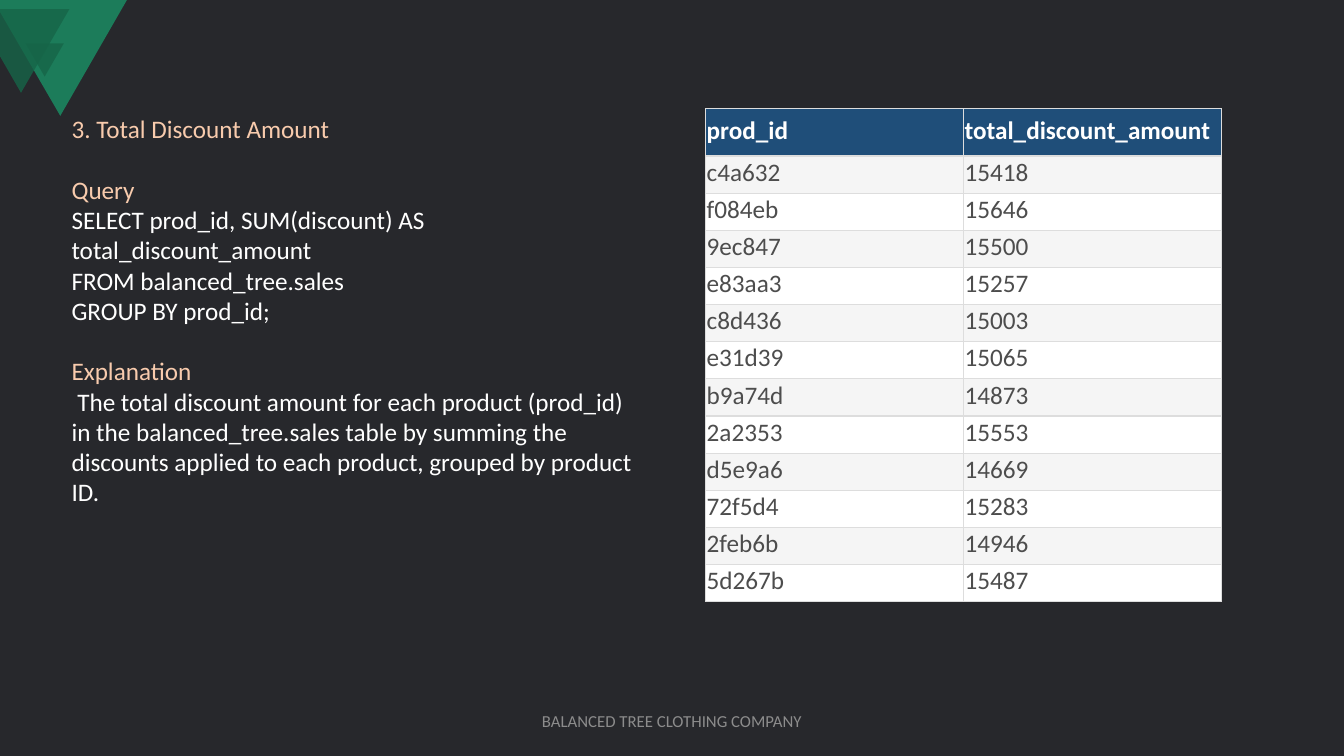
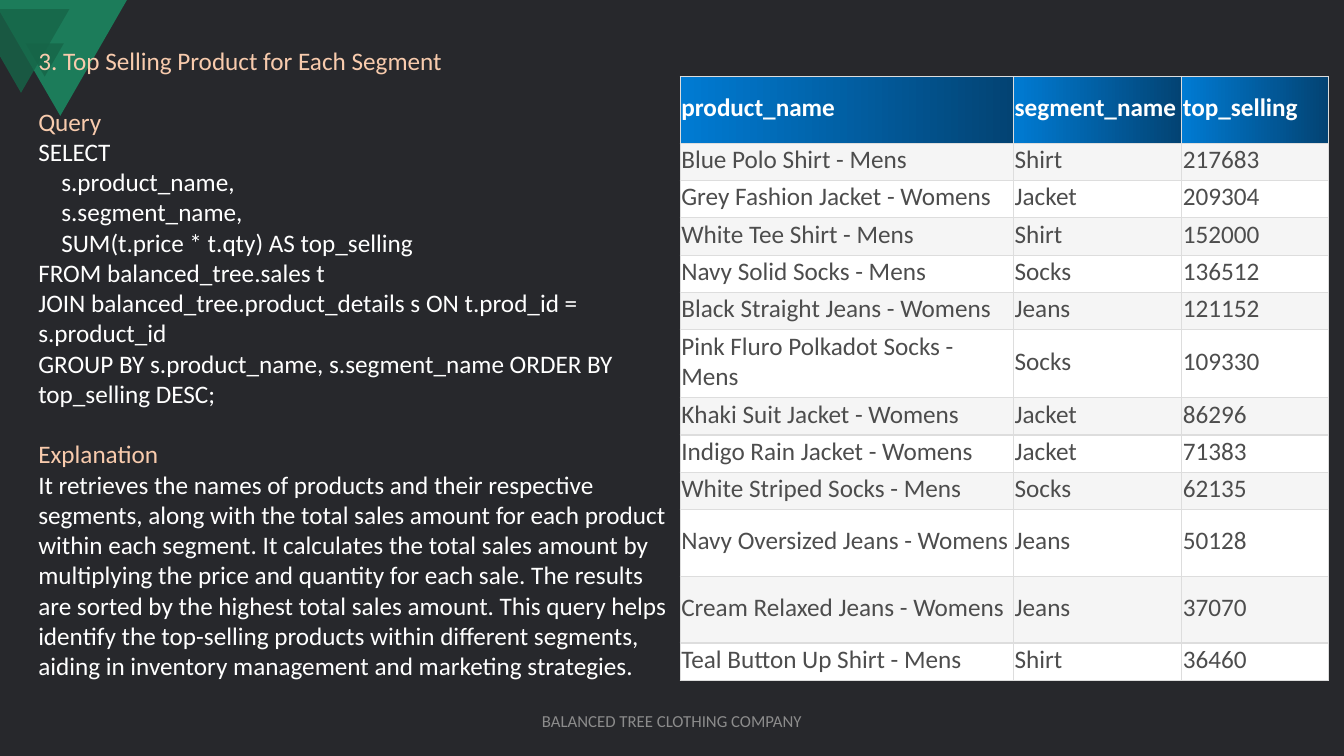
from copy import deepcopy

from lxml.etree import SubElement
from pptx import Presentation
from pptx.dml.color import RGBColor
from pptx.enum.shapes import MSO_SHAPE
from pptx.enum.text import MSO_ANCHOR, MSO_AUTO_SIZE, PP_ALIGN
from pptx.oxml import parse_xml
from pptx.oxml.ns import nsdecls, qn
from pptx.util import Cm, Pt

COLORS = {
    "background": "27282C",
    "green": "1C7C5A",
    "dark_green": "166548",
    "heading": "F8CBAD",
    "white": "FFFFFF",
    "footer": "8C8C8C",
    "cell_text": "4D4D4D",
    "band": "F5F5F5",
    "border": "DDDDDD",
    "navy": "1F4E79",
    "blue_start": "007BD3",
    "blue_end": "034373",
}
FONT = "Calibri"
LINE = Pt(21.6)
FOOTER_IDX = 11

# Lengths are in centimetres; a query line is (indent, text)
slides = [
    {
        "title": "3. Total Discount Amount",
        "text_box": (1.55, 2.74, 14.91, 10.26),
        "query": [
            (0, "SELECT prod_id, SUM(discount) AS total_discount_amount"),
            (0, "FROM balanced_tree.sales"),
            (0, "GROUP BY prod_id;"),
        ],
        "explanation": " The total discount amount for each product (prod_id) in the "
        "balanced_tree.sales table by summing the discounts applied to each "
        "product, grouped by product ID.",
        "table_at": (17.78, 2.74),
        "col_widths": (6.5, 6.5),
        "row_height": 0.93,
        "tall_rows": {0: 1.19},
        "header_fill": ("navy",),
        "rows": [
            ("prod_id", "total_discount_amount"),
            ("c4a632", "15418"),
            ("f084eb", "15646"),
            ("9ec847", "15500"),
            ("e83aa3", "15257"),
            ("c8d436", "15003"),
            ("e31d39", "15065"),
            ("b9a74d", "14873"),
            ("2a2353", "15553"),
            ("d5e9a6", "14669"),
            ("72f5d4", "15283"),
            ("2feb6b", "14946"),
            ("5d267b", "15487"),
        ],
    },
    {
        "title": "3. Top Selling Product for Each Segment",
        "text_box": (0.71, 1.02, 16.43, 16.41),
        "query": [
            (0, "SELECT"),
            (0.58, "s.product_name,"),
            (0.58, "s.segment_name,"),
            (0.58, "SUM(t.price * t.qty) AS top_selling"),
            (0, "FROM balanced_tree.sales t"),
            (0, "JOIN balanced_tree.product_details s ON t.prod_id = s.product_id"),
            (0, "GROUP BY s.product_name, s.segment_name ORDER BY top_selling DESC;"),
        ],
        "explanation": "It retrieves the names of products and their respective segments, "
        "along with the total sales amount for each product within each segment. "
        "It calculates the total sales amount by multiplying the price and quantity "
        "for each sale. The results are sorted by the highest total sales amount. "
        "This query helps identify the top-selling products within different "
        "segments, aiding in inventory management and marketing strategies.",
        "table_at": (17.14, 1.93),
        "col_widths": (8.4, 4.24, 3.7),
        "row_height": 0.94,
        "tall_rows": {0: 1.68, 6: 1.68, 10: 1.68, 11: 1.68},
        "header_fill": ("blue_start", "blue_end"),
        "rows": [
            ("product_name", "segment_name", "top_selling"),
            ("Blue Polo Shirt - Mens", "Shirt", "217683"),
            ("Grey Fashion Jacket - Womens", "Jacket", "209304"),
            ("White Tee Shirt - Mens", "Shirt", "152000"),
            ("Navy Solid Socks - Mens", "Socks", "136512"),
            ("Black Straight Jeans - Womens", "Jeans", "121152"),
            ("Pink Fluro Polkadot Socks - Mens", "Socks", "109330"),
            ("Khaki Suit Jacket - Womens", "Jacket", "86296"),
            ("Indigo Rain Jacket - Womens", "Jacket", "71383"),
            ("White Striped Socks - Mens", "Socks", "62135"),
            ("Navy Oversized Jeans - Womens", "Jeans", "50128"),
            ("Cream Relaxed Jeans - Womens", "Jeans", "37070"),
            ("Teal Button Up Shirt - Mens", "Shirt", "36460"),
        ],
    },
]


def rgb(name):
    return RGBColor.from_string(COLORS[name])


def write(p, text, color, size=18, bold=False):
    """Add a run in the deck's font to the paragraph."""
    r = p.add_run()
    r.text = text
    r.font.color.rgb = rgb(color)
    for key, value in {"name": FONT, "size": Pt(size), "bold": bold}.items():
        setattr(r.font, key, value)


prs = Presentation()
prs.slide_width, prs.slide_height = Cm(33.87), Cm(19.05)
master, layout = prs.slide_master, prs.slide_layouts[1]
master.background.fill.solid()
master.background.fill.fore_color.rgb = rgb("background")
layout_footer = next(p for p in layout.placeholders if p.placeholder_format.idx == FOOTER_IDX)

for spec_no, content in enumerate(slides):
    s = prs.slides.add_slide(layout)
    left, top, width, height = (Cm(v) for v in content["text_box"])

    # Title and body share a column, one blank line apart
    title, body = s.shapes.title, s.placeholders[1]
    for sp, y, h in ((title, top, Cm(1.02)), (body, top + 2 * LINE, height - 2 * LINE)):
        sp.left, sp.top, sp.width, sp.height = left, y, width, h
        tf = sp.text_frame
        tf.word_wrap = True
        tf.auto_size = MSO_AUTO_SIZE.NONE
        tf.vertical_anchor = MSO_ANCHOR.TOP
    p = title.text_frame.paragraphs[0]
    p.alignment = PP_ALIGN.LEFT
    write(p, content["title"], "heading")

    lines = [(0, "Query", "heading", 0)]
    lines += [(indent, text, "white", 0) for indent, text in content["query"]]
    lines += [(0, "Explanation", "heading", LINE), (0, content["explanation"], "white", 0)]
    tf = body.text_frame
    for i, (indent, text, color, space) in enumerate(lines):
        p = tf.add_paragraph() if i else tf.paragraphs[0]
        p.space_before = Pt(0) if not space else space
        pPr = p._p.get_or_add_pPr()
        pPr.set("marL", str(Cm(indent)))
        pPr.set("indent", "0")
        SubElement(pPr, qn("a:buNone"))
        write(p, text, color)

    # Table
    rows, widths = content["rows"], content["col_widths"]
    heights = [content["tall_rows"].get(i, content["row_height"]) for i in range(len(rows))]
    x, y = content["table_at"]
    table = s.shapes.add_table(len(rows), len(widths), Cm(x), Cm(y),
                               Cm(sum(widths)), Cm(sum(heights))).table
    table.first_row = table.horz_banding = False
    for col, w in zip(table.columns, widths):
        col.width = Cm(w)
    for i, (row, h) in enumerate(zip(table.rows, heights)):
        row.height = Cm(h)
        for cell, text in zip(row.cells, rows[i]):
            cell.vertical_anchor = MSO_ANCHOR.MIDDLE
            cell.margin_left = cell.margin_right = cell.margin_top = Cm(0.03)
            cell.margin_bottom = Cm(0.13)
            tcPr = cell._tc.get_or_add_tcPr()
            for side in ("lnL", "lnR", "lnT", "lnB"):
                tcPr.append(parse_xml(
                    f'<a:{side} {nsdecls("a")} w="{Pt(1)}"><a:solidFill>'
                    f'<a:srgbClr val="{COLORS["border"]}"/></a:solidFill></a:{side}>'))
            fills = content["header_fill"] if i == 0 else ("band" if i % 2 else "white",)
            if len(fills) == 1:
                cell.fill.solid()
                cell.fill.fore_color.rgb = rgb(fills[0])
            else:
                cell.fill.gradient()
                cell.fill.gradient_angle = 0
                for stop, name in zip(cell.fill.gradient_stops, fills):
                    stop.color.rgb = rgb(name)
            write(cell.text_frame.paragraphs[0], text,
                  "white" if i == 0 else "cell_text", bold=i == 0)

    # Footer
    s.shapes._spTree.append(deepcopy(layout_footer.element))
    footer = s.placeholders[FOOTER_IDX]
    footer.left, footer.top, footer.width, footer.height = Cm(11.22), Cm(17.66), Cm(11.43), Cm(1.01)
    footer.text_frame.vertical_anchor = MSO_ANCHOR.MIDDLE
    p = footer.text_frame.paragraphs[0]
    p.alignment = PP_ALIGN.CENTER
    write(p, "BALANCED TREE CLOTHING COMPANY", "footer", size=12)

# Corner triangles, drawn on a slide and moved to the master; points in 0.01 cm
corner = []
for points in ([(0, 0), (320, 0), (152, 292), (0, 30)],
               [(0, 23), (175, 23), (53, 234), (0, 142)]):
    fb = s.shapes.build_freeform(*points[0], scale=Cm(0.01))
    fb.add_line_segments(points[1:], close=True)
    corner.append(fb.convert_to_shape())
small = s.shapes.add_shape(MSO_SHAPE.ISOSCELES_TRIANGLE, Cm(0.64), Cm(1.09), Cm(0.97), Cm(0.84))
small.rotation = 180
corner.insert(1, small)
for i, (sp, color, alpha) in enumerate(zip(corner, ("green", "dark_green", "dark_green"),
                                           (100, 80, 80))):
    sp.shadow.inherit = False
    sp.line.fill.background()
    sp.fill.solid()
    sp.fill.fore_color.rgb = rgb(color)
    if alpha < 100:
        srgb = sp.element.spPr.find(".//" + qn("a:srgbClr"))
        SubElement(srgb, qn("a:alpha")).set("val", str(alpha * 1000))
    sp.element.nvSpPr.cNvPr.set("id", str(20 + i))
    master.shapes._spTree.append(sp.element)

prs.save("out.pptx")
